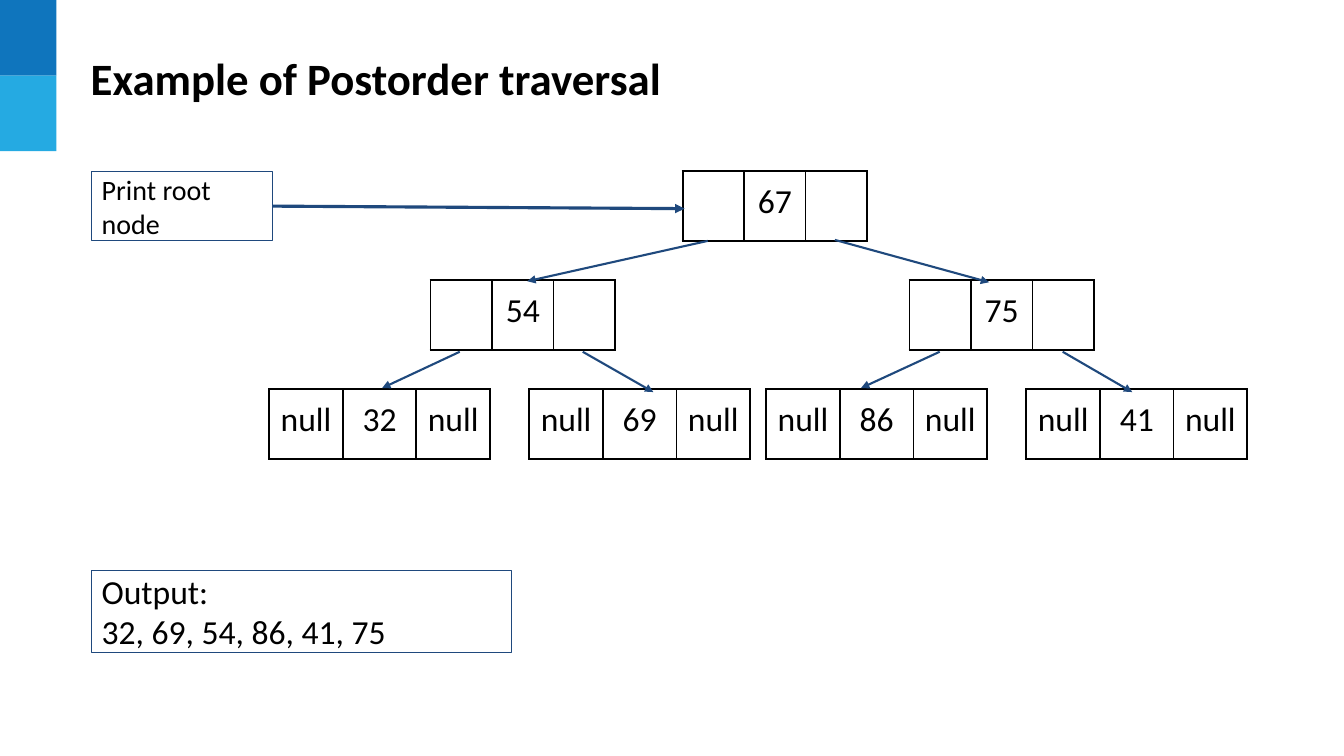
from lxml.etree import SubElement
from pptx import Presentation
from pptx.dml.color import RGBColor
from pptx.enum.shapes import MSO_CONNECTOR, MSO_SHAPE
from pptx.enum.text import MSO_ANCHOR, PP_ALIGN
from pptx.oxml import parse_xml
from pptx.oxml.ns import nsdecls, qn
from pptx.util import Inches, Pt

BLACK, WHITE, NAVY = "000000", "FFFFFF", "1F497D"
BARS = ["0F75BD", "25AAE2"]
NODE_HEIGHT = 0.69

# Each node: left, top, cell width, cell texts
NODES = [
    (6.77, 1.7, 0.61, ["", "67", ""]),
    (4.27, 2.78, 0.61, ["", "54", ""]),
    (9.02, 2.78, 0.61, ["", "75", ""]),
    (2.67, 3.86, 0.73, ["null", "32", "null"]),
    (5.25, 3.86, 0.73, ["null", "69", "null"]),
    (7.6, 3.86, 0.73, ["null", "86", "null"]),
    (10.18, 3.86, 0.73, ["null", "41", "null"]),
]
# Each edge: start and end point
EDGES = [
    ((7.02, 2.39), (5.23, 2.79)),
    ((8.28, 2.38), (9.81, 2.8)),
    ((4.56, 3.49), (3.79, 3.85)),
    ((5.78, 3.49), (6.48, 3.89)),
    ((9.32, 3.49), (8.54, 3.85)),
    ((10.54, 3.49), (11.23, 3.89)),
]


def color(hex_string):
    return RGBColor.from_string(hex_string)


def format_text(frame, size, align, bold=False):
    for para in frame.paragraphs:
        para.alignment = align
        for span in para.runs:
            span.font.name = "Calibri"
            span.font.size = Pt(size)
            span.font.bold = bold
            span.font.color.rgb = color(BLACK)


def set_insets(frame, side, end):
    frame.margin_left = frame.margin_right = Inches(side)
    frame.margin_top = frame.margin_bottom = Inches(end)


def add_rectangle(page, left, top, width, height, fill):
    box = page.shapes.add_shape(MSO_SHAPE.RECTANGLE, Inches(left), Inches(top),
                                Inches(width), Inches(height))
    box.shadow.inherit = False
    box.fill.solid()
    box.fill.fore_color.rgb = color(fill)
    box.line.fill.background()
    return box


def add_side_bars(page, width, height):
    for index, fill in enumerate(BARS):
        add_rectangle(page, 0, index * height, width, height, fill)


def add_title(page, left, top, width, height, text):
    title = page.shapes.title
    title.left, title.top = Inches(left), Inches(top)
    title.width, title.height = Inches(width), Inches(height)
    frame = title.text_frame
    frame.text = text
    frame.vertical_anchor = MSO_ANCHOR.MIDDLE
    set_insets(frame, 0.1, 0.05)
    format_text(frame, 32, PP_ALIGN.LEFT, bold=True)


def add_note(page, left, top, width, height, text, size):
    box = add_rectangle(page, left, top, width, height, WHITE)
    box.line.color.rgb = color(NAVY)
    box.line.width = Pt(0.75)
    frame = box.text_frame
    frame.text = text
    frame.word_wrap = True
    frame.vertical_anchor = MSO_ANCHOR.MIDDLE
    set_insets(frame, 0.1, 0.1)
    format_text(frame, size, PP_ALIGN.LEFT)
    return box


def add_arrow(page, start, end, weight):
    points = [Inches(value) for value in (*start, *end)]
    arrow = page.shapes.add_connector(MSO_CONNECTOR.STRAIGHT, *points)
    arrow.line.color.rgb = color(NAVY)
    arrow.line.width = Pt(weight)
    SubElement(arrow.line._get_or_add_ln(), qn("a:tailEnd"), type="triangle")
    SubElement(arrow._element.spPr, qn("a:effectLst"))
    return arrow


def add_borders(cell):
    properties = cell._tc.get_or_add_tcPr()
    for index, side in enumerate(["lnL", "lnR", "lnT", "lnB"]):
        border = parse_xml(
            f'<a:{side} {nsdecls("a")} w="{Pt(1.5)}"><a:solidFill>'
            f'<a:srgbClr val="{BLACK}"/></a:solidFill></a:{side}>')
        properties.insert(index, border)


def add_node(page, left, top, cell_width, texts):
    table = page.shapes.add_table(
        1, len(texts), Inches(left), Inches(top),
        Inches(cell_width * len(texts)), Inches(NODE_HEIGHT)).table
    table.first_row = table.horz_banding = False
    for column, cell, text in zip(table.columns, table.rows[0].cells, texts):
        column.width = Inches(cell_width)
        set_insets(cell, 0.1, 0.1)
        cell.fill.background()
        add_borders(cell)
        if text:
            cell.text_frame.text = text
            format_text(cell.text_frame, 24, PP_ALIGN.CENTER)


def add_tree(page):
    for node in NODES:
        add_node(page, *node)
    for start, end in EDGES:
        add_arrow(page, start, end, 1.5)


def main():
    deck = Presentation()
    deck.slide_width, deck.slide_height = Inches(13.33), Inches(7.5)
    page = deck.slides.add_slide(deck.slide_layouts[5])

    # Frame of the slide
    add_side_bars(page, 0.56, 0.75)
    add_title(page, 0.8, 0.45, 11.95, 0.64, "Example of Postorder traversal")

    # Binary tree
    add_tree(page)

    # Current step and its output
    step = add_note(page, 0.91, 1.7, 1.79, 0.69, "Print root node", 20)
    pointer = add_arrow(page, (2.7, 2.04), (6.79, 2.07), 2.25)
    pointer.begin_connect(step, 3)
    add_note(page, 0.91, 5.66, 4.16, 0.81,
             "Output:\n32, 69, 54, 86, 41, 75", 24)

    deck.save("out.pptx")


if __name__ == "__main__":
    main()
